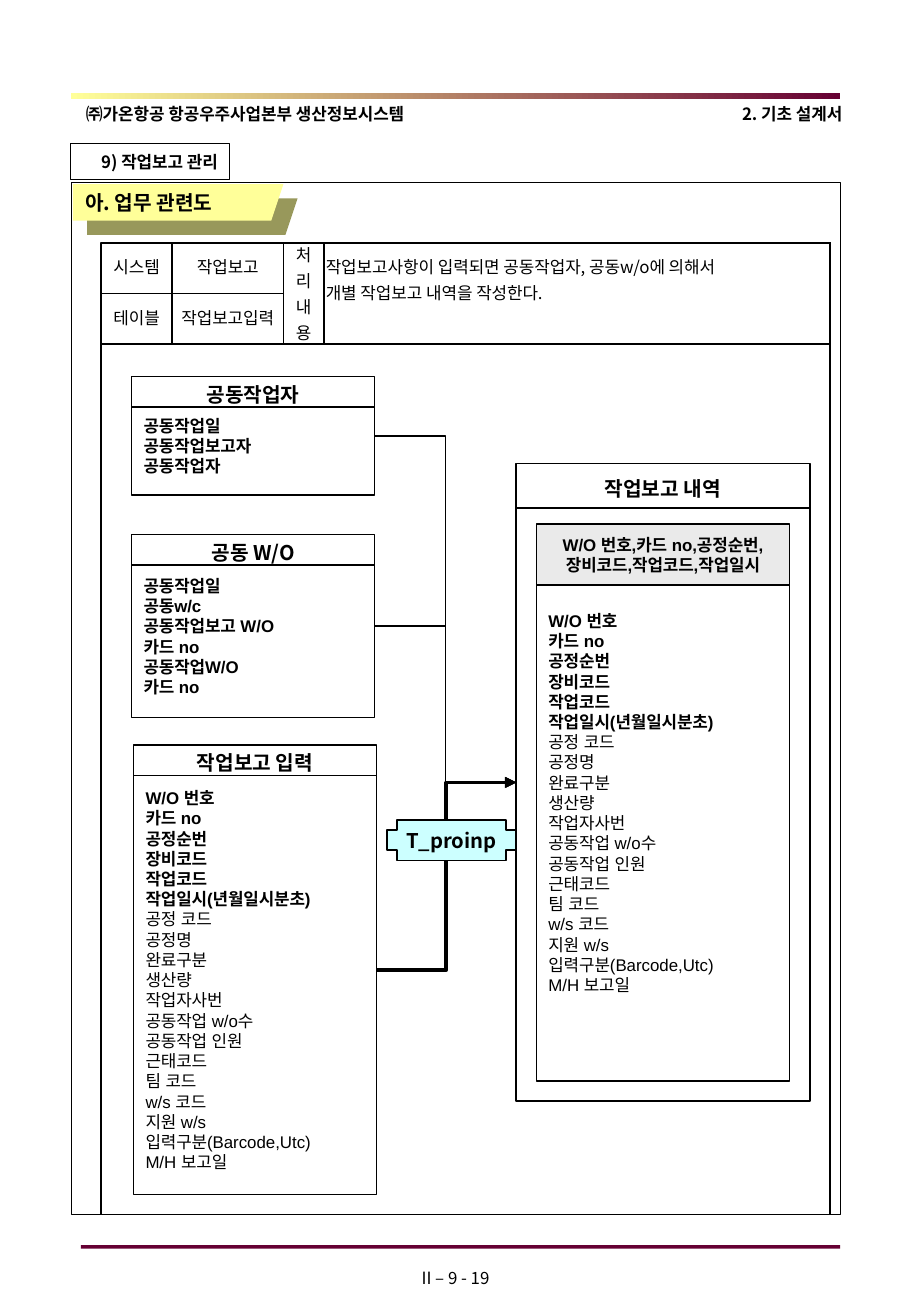
from pptx import Presentation
from pptx.dml.color import RGBColor
from pptx.enum.shapes import MSO_CONNECTOR, MSO_SHAPE
from pptx.enum.text import MSO_ANCHOR, MSO_AUTO_SIZE, PP_ALIGN
from pptx.oxml.ns import qn
from pptx.util import Inches, Pt
from lxml import etree

RECT, CROSS = MSO_SHAPE.RECTANGLE, MSO_SHAPE.CROSS
STRAIGHT, ELBOW = MSO_CONNECTOR.STRAIGHT, MSO_CONNECTOR.ELBOW
LEFT, MID, RIGHT = PP_ALIGN.LEFT, PP_ALIGN.CENTER, PP_ALIGN.RIGHT
TOP, CENTER = MSO_ANCHOR.TOP, MSO_ANCHOR.MIDDLE

UNIT = Inches(1) // 12  # the page is a grid of 90 columns and 130 rows
COLS, ROWS = 90, 130
SANS, ARIAL = "Noto Sans CJK KR", "Arial"
BLACK, WINE, CREAM, OLIVE = "000000", "660033", "FFFF99", "98985B"
GREY, AQUA = "EAEAEA", "CCFFFF"

FIELDS = [
    "W/O 번호", "카드 no", "공정순번", "장비코드", "작업코드",
    "작업일시(년월일시분초)", "공정 코드", "공정명", "완료구분", "생산량",
    "작업자사번", "공동작업 w/o수", "공동작업 인원", "근태코드", "팀 코드",
    "w/s 코드", "지원 w/s", "입력구분(Barcode,Utc)", "M/H 보고일",
]
KEYS = 6


def grid(*nums):
    return [round(n * UNIT) for n in nums]


def rgb(code):
    return RGBColor.from_string(code)


def write(frame, lines, size=10, lead=1, bold=0, align=LEFT, font=SANS):
    """Fill a text frame; the first `bold` lines are bold."""
    frame.text = "\n".join(lines)
    frame.word_wrap = True
    for i, para in enumerate(frame.paragraphs):
        para.alignment = align
        para.line_spacing = Pt(size * 1.2 * lead)
        for run in para.runs:
            run.font.size, run.font.bold = Pt(size), i < bold
            run.font.name = font
            run.font.color.rgb = rgb(BLACK)
            ea = etree.SubElement(run._r.get_or_add_rPr(), qn("a:ea"))
            ea.set("typeface", font)


def inset(frame, anchor=TOP, side=1.2, top=0.6, foot=0.6):
    frame.auto_size = MSO_AUTO_SIZE.NONE
    frame.vertical_anchor = anchor
    frame.margin_left = frame.margin_right = round(side * UNIT)
    frame.margin_top, frame.margin_bottom = grid(top, foot)


def paint(shape, fill=None, line=None):
    shape.shadow.inherit = False
    if fill:
        shape.fill.solid()
        shape.fill.fore_color.rgb = rgb(fill)
    else:
        shape.fill.background()
    if line:
        shape.line.color.rgb = rgb(BLACK)
        shape.line.width = Pt(line)
    else:
        shape.line.fill.background()
    return shape


def block(slide, box, fill=None, line=None, kind=RECT):
    return paint(slide.shapes.add_shape(kind, *grid(*box)), fill, line)


def label(slide, box, *lines, anchor=TOP, **style):
    frame = slide.shapes.add_textbox(*grid(*box)).text_frame
    inset(frame, anchor)
    write(frame, lines, **style)


def link(slide, ends, kind=STRAIGHT, width=1):
    line = slide.shapes.add_connector(kind, *grid(*ends))
    line.line.color.rgb = rgb(BLACK)
    line.line.width = Pt(width)
    etree.SubElement(line._element.spPr, qn("a:effectLst"))
    return line


def arrow(slide, start, end, width=1):
    line = link(slide, (0, 0, 1, 1), ELBOW, width)
    line.begin_connect(start, 3)
    line.end_connect(end, 1)
    etree.SubElement(line.line._get_or_add_ln(), qn("a:tailEnd")).set("type", "triangle")


def page(slide, x, y, w, h):
    """Draw the running header, footer and border around the body box."""
    block(slide, (x, y, w, h), line=0.25)
    bar = block(slide, (x, y - 8.8, w, 0.6), WINE)
    bar.fill.gradient()
    bar.fill.gradient_angle = 0
    for stop, tone in zip(bar.fill.gradient_stops, (CREAM, WINE)):
        stop.color.rgb = rgb(tone)
    block(slide, (x + 1, y + h + 3, w - 1, 0.36), WINE)
    label(slide, (x + 0.3, y - 8.6, 40, 3.5),
          "㈜가온항공 항공우주사업본부 생산정보시스템", lead=1.1, bold=1)
    label(slide, (x + w - 18.6, y - 8.6, 20, 3.5), "2. 기초 설계서",
          lead=1.1, bold=1, align=RIGHT)
    tag = block(slide, (x, y - 3.8, 15.7, 3.5), line=0.75)
    inset(tag.text_frame)
    write(tag.text_frame, ["9) 작업보고 관리"], lead=1.1, bold=1, align=RIGHT)
    label(slide, (COLS / 2 - 10, y + h + 4.6, 20, 3.2), "II – 9 - 19", align=MID)


def banner(slide, x, y, w, h):
    for shift, tone in ((1.4, OLIVE), (0, CREAM)):
        left, top, right, slant, foot = grid(
            x + shift, y + shift, x + w + shift, x + w + shift - 1.2, y + h + shift)
        pen = slide.shapes.build_freeform(left, top)
        pen.add_line_segments([(right, top), (slant, foot), (left, foot)])
        paint(pen.convert_to_shape(), tone)
    title = slide.shapes.title
    title.left, title.top, title.width, title.height = grid(x, y, w - 1.5, h)
    slide.shapes._spTree.append(title._element)
    inset(title.text_frame)
    write(title.text_frame, ["아. 업무 관련도"], size=12, bold=1)


def summary(slide, x, y, w, h):
    """Draw the table that names the system and its table, and the process text."""
    table = slide.shapes.add_table(2, 4, *grid(x, y, w, h)).table
    table.first_row = table.horz_banding = False
    for col, wide in zip(table.columns, grid(7, 11, 4, w - 22)):
        col.width = wide
    for row in table.rows:
        row.height = round(h / 2 * UNIT)
    for c in (2, 3):
        table.cell(0, c).merge(table.cell(1, c))
    words = (("시스템", "작업보고", "", ""), ("테이블", "작업보고입력", "", ""))
    for r, line in enumerate(words):
        for c, word in enumerate(line):
            cell = table.cell(r, c)
            cell.margin_left = cell.margin_right = round(0.2 * UNIT)
            cell.margin_top = cell.margin_bottom = 0
            cell.vertical_anchor = CENTER
            write(cell.text_frame, [word], align=MID)
            props = cell._tc.get_or_add_tcPr()
            for edge in ("lnL", "lnR", "lnT", "lnB"):
                rule = etree.SubElement(props, qn("a:" + edge), w=str(Pt(1)))
                solid = etree.SubElement(rule, qn("a:solidFill"))
                etree.SubElement(solid, qn("a:srgbClr"), val=BLACK)
            cell.fill.background()
    label(slide, (x + 18, y - 1, 4, h + 1.6), "처리내용", lead=1.28, align=MID)
    label(slide, (x + 21, y + 0.2, w - 21, 6.4),
          "작업보고사항이 입력되면 공동작업자, 공동w/o에 의해서",
          "개별 작업보고 내역을 작성한다.", lead=1.28)


def listing(slide, box, lines, bold, above=0, below=0):
    """Draw a framed list, with rows kept free above or below it."""
    shape = block(slide, box, line=1)
    inset(shape.text_frame, CENTER, top=0.6 + 2 * above, foot=0.6 + 2 * below)
    write(shape.text_frame, lines, bold=bold, font=ARIAL)
    return shape


def heading(slide, x, y, w, h, text):
    link(slide, (x, y + h, x + w, y + h))
    label(slide, (x, y, w, h), text, anchor=CENTER, size=12, lead=1.2, bold=1, align=MID)


def entity(slide, x, y, w, h, name, lines, bold):
    shape = listing(slide, (x, y, w, h), lines, bold, above=1)
    heading(slide, x, y, w, 3, name)
    return shape


def record(slide, x, y, w, h):
    """Draw the resulting record with its key and its fields."""
    panel = block(slide, (x, y, w, h), line=1)
    heading(slide, x, y, w, 4.4, "작업보고 내역")
    key = block(slide, (x + 2, y + 6, w - 4, 6), GREY, 1)
    inset(key.text_frame, CENTER, side=0)
    write(key.text_frame, ["W/O 번호,카드 no,공정순번,", "장비코드,작업코드,작업일시"],
          bold=2, align=MID, font=ARIAL)
    listing(slide, (x + 2, y + 12, w - 4, h - 14), FIELDS, KEYS, below=3)
    return panel


def flow(slide, x, y):
    crew = entity(slide, x, y, 24, 11.7, "공동작업자",
                  ["공동작업일", "공동작업보고자", "공동작업자"], 3)
    order = entity(slide, x, y + 15.6, 24, 18.1, "공동 W/O",
                   ["공동작업일", "공동w/c", "공동작업보고 W/O", "카드 no", "공동작업W/O", "카드 no"], 6)
    entry = entity(slide, x + 0.2, y + 36.4, 24, 44.4, "작업보고 입력", FIELDS, KEYS)
    panel = record(slide, x + 38, y + 8.6, 29, 63)
    for start, width in ((crew, 1), (order, 1), (entry, 2.25)):
        arrow(slide, start, panel, width)
    task = block(slide, (x + 25.2, y + 43.8, 12.8, 4), AQUA, 1, CROSS)
    inset(task.text_frame, CENTER, side=0, top=0, foot=0)
    write(task.text_frame, ["T_proinp"], size=12, bold=1, align=MID)


def main():
    deck = Presentation()
    deck.slide_width, deck.slide_height = grid(COLS, ROWS)
    slide = deck.slides.add_slide(deck.slide_layouts[5])
    page(slide, 7, 18, 76, 102)
    banner(slide, 7.2, 18.2, 20.8, 3.6)
    block(slide, (10, 24, 72, 96), line=1)
    summary(slide, 10, 24, 72, 10)
    flow(slide, 13, 37.2)
    deck.save("out.pptx")


if __name__ == "__main__":
    main()
